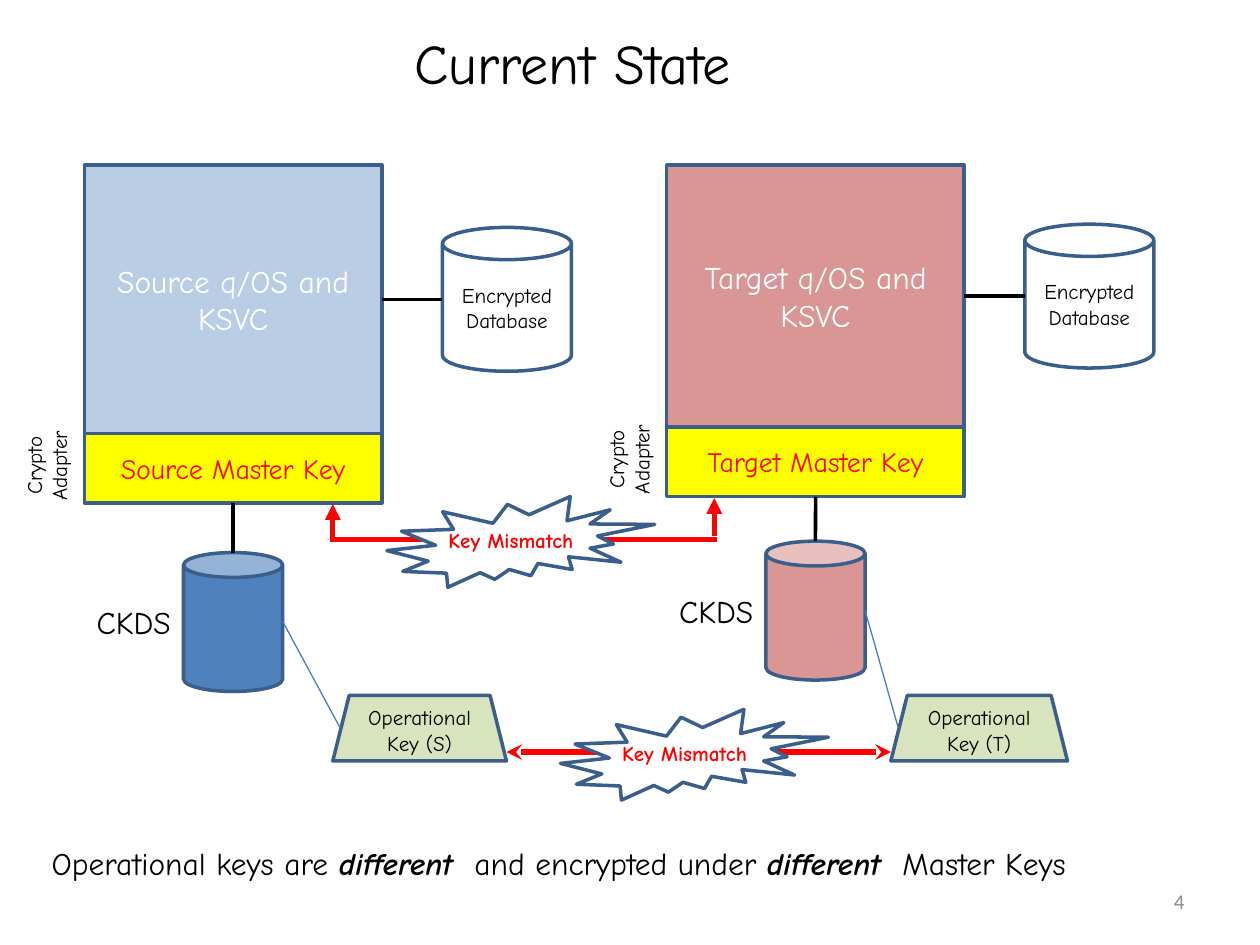
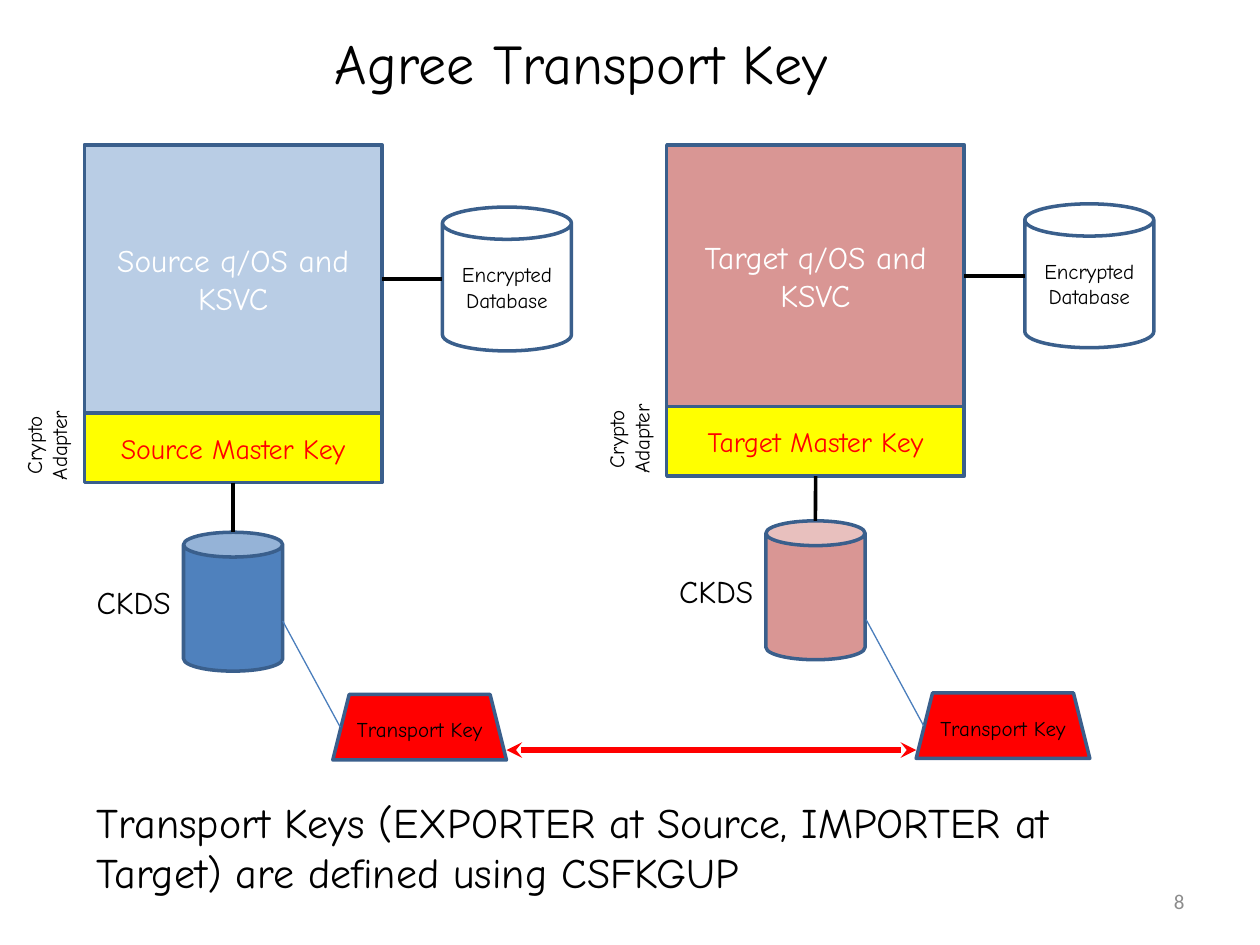
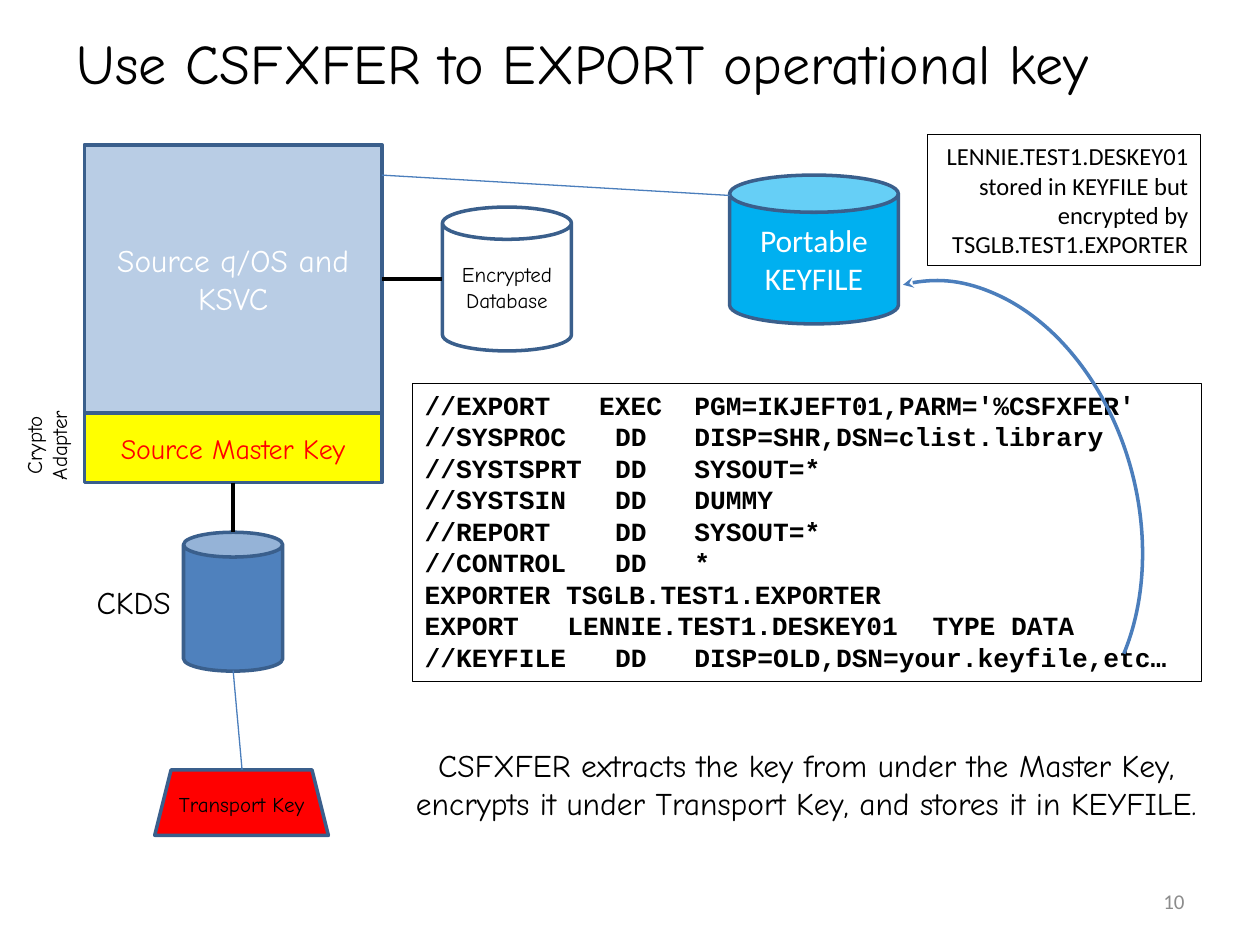
"""Build three slides on moving operational keys between two systems."""
from dataclasses import dataclass

from lxml.etree import SubElement
from pptx import Presentation
from pptx.dml.color import RGBColor
from pptx.enum.shapes import MSO_CONNECTOR, MSO_SHAPE
from pptx.enum.text import MSO_ANCHOR, PP_ALIGN
from pptx.oxml.ns import qn
from pptx.util import Cm, Pt


@dataclass(frozen=True)
class Theme:
    black: str = "000000"
    white: str = "FFFFFF"
    red: str = "FF0000"
    yellow: str = "FFFF00"
    green: str = "D7E4BD"
    pale_blue: str = "B9CDE5"
    blue: str = "4F81BD"
    sky: str = "00B0F0"
    rose: str = "D99694"
    outline: str = "3A5F8C"
    link: str = "4B7EBC"
    grey: str = "8C8C8C"
    hand: str = "Comic Neue"
    plain: str = "Calibri"
    code: str = "Courier New"
    title: int = 32
    statement: int = 24
    body: int = 18
    master_key: int = 16
    listing: int = 15
    note: int = 14
    small: int = 12
    hairline: float = 0.75
    stroke: int = 2
    heavy: int = 3


@dataclass(frozen=True)
class Site:
    name: str
    left: float
    system_height: float
    ckds_gap: float
    system_fill: str
    ckds_fill: str


THEME = Theme()
SOURCE = Site("Source", 1.7, 5.41, 1, THEME.pale_blue, THEME.blue)
TARGET = Site("Target", 13.44, 5.28, 0.9, THEME.rose, THEME.rose)
SITE_WIDTH = 6
MASTER_KEY_HEIGHT = 1.4
CODE_COLUMN = 0.32
JCL = [
    ("//EXPORT\tEXEC\tPGM=IKJEFT01,PARM='%CSFXFER'", (11, 17)),
    ("//SYSPROC\tDD\tDISP=SHR,DSN=clist.library", (12, 17)),
    ("//SYSTSPRT\tDD\tSYSOUT=*", (12, 17)),
    ("//SYSTSIN\tDD\tDUMMY", (12, 17)),
    ("//REPORT\tDD\tSYSOUT=*", (12, 17)),
    ("//CONTROL\tDD\t*", (12, 17)),
    ("EXPORTER TSGLB.TEST1.EXPORTER", ()),
    ("EXPORT\tLENNIE.TEST1.DESKEY01\tTYPE DATA", (9, 32)),
    ("//KEYFILE\tDD\tDISP=OLD,DSN=your.keyfile,etc…", (12, 17)),
]


class Deck:
    def __init__(self, theme):
        self.theme = theme
        self.presentation = Presentation()
        self.presentation.slide_width = Cm(25.4)
        self.presentation.slide_height = Cm(19.05)
        self.slide = None

    def start(self, title, title_left, title_width, number):
        blank = self.presentation.slide_layouts[6]
        self.slide = self.presentation.slides.add_slide(blank)
        self.text(title, title_left, 0.46, title_width, 1.63, self.theme.title)
        self.text(number, 18.21, 17.65, 5.92, 1.02, self.theme.small, self.theme.grey,
                  PP_ALIGN.RIGHT, self.theme.plain, anchor=MSO_ANCHOR.MIDDLE)

    def fill_text(self, shape, text, size, color, align, font, bold, anchor):
        frame = shape.text_frame
        frame.word_wrap = True
        frame.vertical_anchor = anchor
        for index, line in enumerate(text.split("\n")):
            paragraph = frame.add_paragraph() if index else frame.paragraphs[0]
            paragraph.alignment = align
            for part, words in enumerate(line.split("_")):
                run = paragraph.add_run()
                run.text = words
                emphasis = part % 2 == 1
                run.font.name = font
                run.font.size = Pt(size)
                run.font.bold = bold or emphasis
                run.font.italic = emphasis
                run.font.color.rgb = RGBColor.from_string(color)

    def text(self, text, left, top, width, height, size, color=None, align=PP_ALIGN.LEFT,
             font=None, bold=False, anchor=MSO_ANCHOR.TOP, border=None):
        box = self.slide.shapes.add_textbox(Cm(left), Cm(top), Cm(width), Cm(height))
        self.fill_text(box, text, size, color or self.theme.black, align,
                       font or self.theme.hand, bold, anchor)
        if border:
            self.stroke(box, self.theme.black, border)
        return box

    def stroke(self, shape, color, width, head=None, tail=None):
        shape.line.color.rgb = RGBColor.from_string(color)
        shape.line.width = Pt(width)
        outline = shape.element.spPr.find(qn("a:ln"))
        for end, arrow in (("a:headEnd", head), ("a:tailEnd", tail)):
            if arrow:
                SubElement(outline, qn(end), type=arrow)

    def shape(self, preset, left, top, width, height, fill, text="", size=None, color=None,
              font=None):
        shape = self.slide.shapes.add_shape(preset, Cm(left), Cm(top), Cm(width), Cm(height))
        shape.shadow.inherit = False
        shape.fill.solid()
        shape.fill.fore_color.rgb = RGBColor.from_string(fill)
        self.stroke(shape, self.theme.outline, self.theme.stroke)
        if text:
            self.fill_text(shape, text, size or self.theme.small, color or self.theme.black,
                           PP_ALIGN.CENTER, font or self.theme.hand, False,
                           MSO_ANCHOR.MIDDLE)
        return shape

    def line(self, x1, y1, x2, y2, color=None, width=None, head=None, tail=None):
        line = self.slide.shapes.add_connector(
            MSO_CONNECTOR.STRAIGHT, Cm(x1), Cm(y1), Cm(x2), Cm(y2))
        self.stroke(line, color or self.theme.link, width or self.theme.hairline, head, tail)
        SubElement(line.element.spPr, qn("a:effectLst"))
        return line

    def arc(self, left, top, width, height, rotation, start, end):
        arc = self.slide.shapes.add_shape(
            MSO_SHAPE.ARC, Cm(left), Cm(top), Cm(width), Cm(height))
        arc.shadow.inherit = False
        arc.fill.background()
        arc.rotation = rotation
        arc.adjustments[0], arc.adjustments[1] = start * 0.6, end * 0.6
        self.stroke(arc, self.theme.link, self.theme.stroke, head="stealth")

    def site(self, site, top):
        theme = self.theme
        key_top = top + site.system_height
        key_bottom = key_top + MASTER_KEY_HEIGHT
        ckds_top = key_bottom + site.ckds_gap
        right, center = site.left + SITE_WIDTH, site.left + SITE_WIDTH / 2
        middle = top + site.system_height / 2
        database_left = right + 1.22

        system = self.shape(MSO_SHAPE.RECTANGLE, site.left, top, SITE_WIDTH,
                            site.system_height, site.system_fill,
                            f"{site.name} q/OS and KSVC", theme.body, theme.white)
        master_key = self.shape(MSO_SHAPE.RECTANGLE, site.left, key_top, SITE_WIDTH,
                                MASTER_KEY_HEIGHT, theme.yellow,
                                f"{site.name} Master Key", theme.master_key, theme.red)
        adapter = self.text("Crypto\nAdapter", site.left - 1.4, key_top - 0.45, 1.55, 2.2,
                            theme.small, align=PP_ALIGN.CENTER)
        next(adapter.element.iter(qn("a:bodyPr"))).set("vert", "vert270")
        self.shape(MSO_SHAPE.CAN, center - 1, ckds_top, 2, 2.8, site.ckds_fill)
        self.text("CKDS", site.left, ckds_top + 0.9, 2.2, 1, theme.body)
        self.shape(MSO_SHAPE.CAN, database_left, middle - 1.45, 2.6, 2.9, theme.white,
                   "Encrypted Database")
        ckds_link = self.line(center, key_bottom, center, ckds_top, theme.black, theme.stroke)
        ckds_link.begin_connect(master_key, 2)
        database_link = self.line(right, middle, database_left, middle,
                                  theme.black, theme.stroke)
        database_link.begin_connect(system, 3)

    def key(self, label, left, top, fill, width=3.5):
        self.shape(MSO_SHAPE.TRAPEZOID, left, top, width, 1.32, fill, label)

    def key_arrow(self, left, right, y):
        self.line(left, y, right, y, self.theme.red, self.theme.heavy, "stealth", "stealth")

    def mismatch(self, left, top):
        self.shape(MSO_SHAPE.EXPLOSION2, left, top, 5.4, 1.83, self.theme.white)
        self.text("Key Mismatch", left + 0.4, top + 0.5, 4.2, 0.76, self.theme.small,
                  self.theme.red, PP_ALIGN.CENTER, bold=True)

    def listing(self, lines, left, top, width, height):
        box = self.text("\n".join(line for line, _ in lines), left, top, width, height,
                        self.theme.listing, font=self.theme.code, bold=True, border=0.25)
        for paragraph, (_, columns) in zip(box.element.iter(qn("a:p")), lines):
            if columns:
                stops = SubElement(paragraph.get_or_add_pPr(), qn("a:tabLst"))
                for column in columns:
                    SubElement(stops, qn("a:tab"), pos=str(Cm(column * CODE_COLUMN)), algn="l")


def current_state(deck):
    theme = deck.theme
    deck.start("Current State", 8.1, 8.08, "4")
    for site in (SOURCE, TARGET):
        deck.site(site, 3.33)
    deck.key("Operational Key (S)", 6.71, 14.02, theme.green)
    deck.key("Operational Key (T)", 17.96, 14.02, theme.green, 3.56)
    deck.line(5.7, 12.53, 6.86, 14.68)
    deck.line(17.44, 12.31, 18.11, 14.68)
    deck.text("Operational keys are _different _ and encrypted under _different _ Master Keys",
              0.79, 16.89, 23.55, 1.02, theme.body)
    deck.key_arrow(10.21, 17.96, 15.16)
    deck.mismatch(11.3, 14.3)
    deck.line(6.71, 10.87, 14.45, 10.87, theme.red, theme.heavy)
    deck.mismatch(7.8, 10.01)
    for x, bottom in ((6.71, 10.92), (14.4, 10.8)):
        deck.line(x, bottom, x, bottom - 0.76, theme.red, theme.heavy, tail="triangle")


def agree_transport_key(deck):
    deck.start("Agree Transport Key", 6.5, 11.7, "8")
    for site in (SOURCE, TARGET):
        deck.site(site, 2.92)
    for left, top, link_x in ((6.71, 14, 5.7), (18.47, 13.97, 17.46)):
        deck.key("Transport Key", left, top, deck.theme.red)
        deck.line(link_x, top - 1.48, left + 0.15, top + 0.66)
    deck.key_arrow(10.21, 18.47, 15.12)
    deck.text("Transport Keys (EXPORTER at Source, IMPORTER at Target) "
              "are defined using CSFKGUP", 1.7, 15.93, 21.59, 2.3, deck.theme.statement)


def export_operational_key(deck):
    theme = deck.theme
    deck.start("Use CSFXFER to EXPORT operational key", 1.3, 22.78, "10")
    deck.site(SOURCE, 2.92)
    deck.key("Transport Key", 3.12, 15.52, theme.red)
    deck.line(4.7, 13.52, 4.88, 15.52)
    deck.listing(JCL, 8.31, 7.72, 15.9, 6.02)
    deck.shape(MSO_SHAPE.CAN, 14.71, 3.53, 3.4, 3, theme.sky, "Portable\nKEYFILE",
               theme.body, theme.white, theme.plain)
    deck.arc(15.88, 5.59, 7.06, 9.68, 345.6, 270, 54.62)
    deck.text("CSFXFER extracts the key from under the Master Key, encrypts it under "
              "Transport Key, and stores it in KEYFILE.",
              7.95, 14.91, 16.61, 2.57, theme.body, align=PP_ALIGN.CENTER)
    deck.line(7.7, 3.53, 14.71, 3.94)
    deck.text("LENNIE.TEST1.DESKEY01\nstored in KEYFILE but encrypted by\nTSGLB.TEST1.EXPORTER",
              18.7, 2.72, 5.51, 2.64, theme.note, align=PP_ALIGN.RIGHT,
              font=theme.plain, border=0.5)


def main():
    deck = Deck(THEME)
    current_state(deck)
    agree_transport_key(deck)
    export_operational_key(deck)
    deck.presentation.save("out.pptx")


if __name__ == "__main__":
    main()
